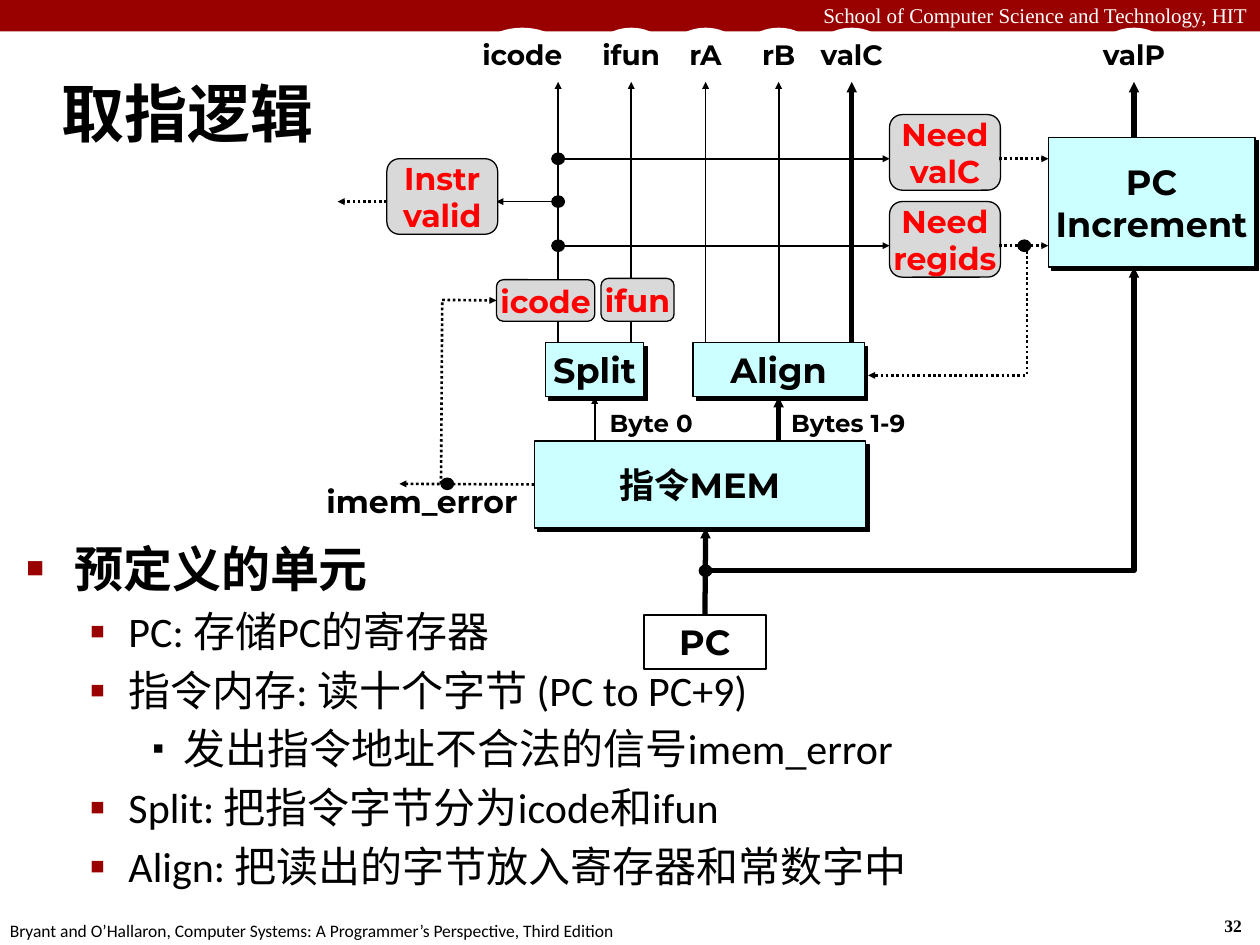
"""Build the fetch logic slide: a hardware diagram with a list of its units."""
from lxml import etree
from pptx import Presentation
from pptx.dml.color import RGBColor
from pptx.enum.dml import MSO_LINE
from pptx.enum.shapes import MSO_CONNECTOR, MSO_SHAPE
from pptx.enum.text import MSO_ANCHOR, MSO_AUTO_SIZE, PP_ALIGN
from pptx.oxml.ns import qn
from pptx.util import Inches, Pt

RECT, ROUND, OVAL = MSO_SHAPE.RECTANGLE, MSO_SHAPE.ROUNDED_RECTANGLE, MSO_SHAPE.OVAL
LEFT, CENTER, RIGHT = PP_ALIGN.LEFT, PP_ALIGN.CENTER, PP_ALIGN.RIGHT
MIDDLE, FIXED = MSO_ANCHOR.MIDDLE, MSO_AUTO_SIZE.NONE
STRAIGHT, DOTS = MSO_CONNECTOR.STRAIGHT, MSO_LINE.ROUND_DOT
TOP, WEST, BASE = 0, 1, 2

BLACK = RGBColor(0, 0, 0)
WHITE = RGBColor(255, 255, 255)
MAROON = RGBColor(0x99, 0, 0)
CYAN = RGBColor(0xCC, 0xFF, 0xFF)
GRAY = RGBColor(0xD9, 0xD9, 0xD9)
RED = RGBColor(255, 0, 0)
SANS, SERIF, BOLD = "Calibri", "Times New Roman", "Montserrat"

TITLE = "取指逻辑"
ITEMS = [
    (0, "预定义的单元"),
    (1, "PC: 存储PC的寄存器"),
    (1, "指令内存: 读十个字节 (PC to PC+9)"),
    (2, "发出指令地址不合法的信号imem_error"),
    (1, "Split: 把指令字节分为icode和ifun"),
    (1, "Align: 把读出的字节放入寄存器和常数字中"),
]
LEVELS = [
    (0.38, -0.38, "■", 60, MAROON, 28),
    (0.81, -0.31, "▪", 110, MAROON, 24),
    (1.25, -0.25, "▪", 80, BLACK, 24),
]
NOTES = [
    ("School of Computer Science and Technology, HIT", (0, -0.03, 10, 0.3), 12, SERIF, WHITE, False, RIGHT),
    ("32", (9.62, 7.21, 0.37, 0.27), 10, SERIF, BLACK, True, LEFT),
    ("Bryant and O’Hallaron, Computer Systems: A Programmer’s Perspective, Third Edition",
     (-0.02, 7.25, 5.08, 0.27), 10, SANS, BLACK, False, LEFT),
    ("Bytes 1-9", (6.18, 3.19, 1.2, 0.34), 14, BOLD, BLACK, True, LEFT),
    ("Byte 0", (4.74, 3.19, 0.89, 0.34), 14, BOLD, BLACK, True, LEFT),
]
UNITS = [
    ("指令MEM", (4.24, 3.5, 2.63, 0.69)),
    ("PC\nIncrement", (8.32, 1.09, 1.64, 1.03)),
    ("Align", (5.5, 2.72, 1.36, 0.43)),
    ("Split", (4.33, 2.72, 0.78, 0.43)),
]
GATES = [
    ("Need\nregids", (7.06, 1.6, 0.88, 0.6)),
    ("Need\nvalC", (7.06, 0.91, 0.88, 0.6)),
    ("Instr\nvalid", (3.07, 1.26, 0.88, 0.6)),
    ("icode", (3.94, 2.22, 0.78, 0.33)),
    ("ifun", (4.77, 2.21, 0.58, 0.34)),
]
OUTS = [
    ("icode", 3.8, 0.69, 4.43, 2.72, 1, None),
    ("ifun", 4.72, 0.58, 5.01, 2.72, 1, None),
    ("rA", 5.31, 0.58, 5.6, 2.72, 1, None),
    ("rB", 5.89, 0.58, 6.18, 2.72, 1, ("Align", TOP)),
    ("valC", 6.47, 0.58, 6.76, 2.72, 3, None),
    ("valP", 8.71, 0.58, 9, 1.09, 3, None),
]
WIRES = [
    ((5.6, 4.88), (5.6, 4.19), 3, ("PC", TOP), None),
    ((6.18, 3.5), (6.18, 3.15), 3, None, ("Align", BASE)),
    ((4.72, 3.5), (4.72, 3.15), 1, None, ("Split", BASE)),
    ((4.43, 1.95), (7.06, 1.95), 1, None, None),
    ((4.43, 1.26), (7.06, 1.26), 1, None, None),
    ((4.43, 1.6), (3.94, 1.6), 1, None, None),
]
SIGNALS = [
    ((7.93, 1.26), (8.32, 1.26), None, None, True),
    ((7.93, 1.95), (8.32, 1.95), None, None, True),
    ((3.07, 1.6), (2.68, 1.6), None, None, True),
    ((4.24, 3.84), (3.17, 3.84), ("指令MEM", WEST), None, True),
    ((3.5, 3.84), (3.51, 2.38), None, None, False),
    ((3.51, 2.38), (3.94, 2.38), None, ("icode", WEST), True),
]
BENDS = [
    ([(5.6, 4.53), (9, 4.53), (9, 2.12)], 3, None),
    ([(8.15, 1.95), (8.15, 2.98), (6.89, 2.98)], 1.5, DOTS),
]
NODES = [(4.43, 1.26), (4.43, 1.6), (4.43, 1.95), (5.6, 4.53), (8.13, 1.95), (3.55, 3.84)]

prs = Presentation()
prs.slide_width, prs.slide_height = Inches(10), Inches(7.5)
slide = prs.slides.add_slide(prs.slide_layouts[1])
shapes = slide.shapes
boxes = {}


def place(shape, at):
    shape.left, shape.top, shape.width, shape.height = map(Inches, at)


def style(para, size, face, color, bold, align):
    para.alignment = align
    for run in para.runs:
        font = run.font
        font.size, font.name, font.bold = Pt(size), face, bold
        font.color.rgb = color


def write(shape, text, size, color, face=BOLD, bold=True, align=CENTER, wrap=False):
    frame = shape.text_frame
    frame.text, frame.word_wrap = text, wrap
    for para in frame.paragraphs:
        style(para, size, face, color, bold, align)


def block(kind, at, fill=None, line=None):
    shape = shapes.add_shape(kind, *map(Inches, at))
    shape.shadow.inherit = False
    if fill is None:
        shape.fill.background()
    else:
        shape.fill.solid()
        shape.fill.fore_color.rgb = fill
    if line:
        shape.line.color.rgb, shape.line.width = BLACK, Pt(line)
    else:
        shape.line.fill.background()
    return shape


def cast(shape):
    effects = shape._element.spPr.find(qn("a:effectLst"))
    shade = etree.SubElement(effects, qn("a:outerShdw"), blurRad="0", dist="35560", dir="2700000", algn="ctr")
    etree.SubElement(shade, qn("a:srgbClr"), val=str(BLACK))


def ink(shape, width, dash=None, arrow=True):
    line = shape.line
    line.color.rgb, line.width = BLACK, Pt(width)
    if dash:
        line.dash_style = dash
    if arrow:
        etree.SubElement(line._get_or_add_ln(), qn("a:tailEnd"), type="triangle", w="sm", len="sm")


def wire(start, stop, width, first=None, last=None, dash=None, arrow=True):
    link = shapes.add_connector(STRAIGHT, *map(Inches, start + stop))
    if first:
        link.begin_connect(boxes[first[0]], first[1])
    if last:
        link.end_connect(boxes[last[0]], last[1])
    ink(link, width, dash, arrow)
    etree.SubElement(link._element.spPr, qn("a:effectLst"))


def bend(points, width, dash):
    path = [(Inches(x), Inches(y)) for x, y in points]
    build = shapes.build_freeform(*path[0])
    build.add_line_segments(path[1:], close=False)
    shape = build.convert_to_shape()
    shape.shadow.inherit = False
    shape.fill.background()
    ink(shape, width, dash)


def bullet(para, level):
    left, hang, mark, scale, color, size = LEVELS[level]
    para.level = level
    props = para._p.get_or_add_pPr()
    props.set("marL", str(Inches(left)))
    props.set("indent", str(Inches(hang)))
    para.space_before = Pt(size * 0.2 if level else 0)
    tint = etree.SubElement(props, qn("a:buClr"))
    etree.SubElement(tint, qn("a:srgbClr"), val=str(color))
    etree.SubElement(props, qn("a:buSzPct"), val=str(scale * 1000))
    etree.SubElement(props, qn("a:buChar"), char=mark)
    style(para, size, SANS, BLACK, level == 0, LEFT)


title, body = slide.placeholders
place(title, (0.39, 0.48, 9.61, 0.83))
write(title, TITLE, 36, BLACK, SANS, align=LEFT, wrap=True)
title.text_frame.vertical_anchor, title.text_frame.auto_size = MIDDLE, FIXED

place(body, (0.11, 4.22, 9.08, 2.92))
body.text_frame.text = "\n".join(text for _, text in ITEMS)
body.text_frame.auto_size = FIXED
for para, (level, _) in zip(body.text_frame.paragraphs, ITEMS):
    bullet(para, level)

block(RECT, (0, 0, 10, 0.25), MAROON)
for text, at, size, face, color, bold, align in NOTES:
    write(shapes.add_textbox(*map(Inches, at)), text, size, color, face, bold, align, align == RIGHT)

for text, at in UNITS:
    boxes[text] = block(RECT, at, CYAN, 0.75)
    cast(boxes[text])
    write(boxes[text], text, 20, BLACK)
boxes["PC"] = block(RECT, (5.11, 4.88, 0.97, 0.43), WHITE, 1)
write(boxes["PC"], "PC", 20, BLACK)

for text, left, width, x, y, weight, first in OUTS:
    write(block(OVAL, (left, 0.22, width, 0.43), WHITE), text, 16, BLACK)
    wire((x, y), (x, 0.65), weight, first)
for start, stop, weight, first, last in WIRES:
    wire(start, stop, weight, first, last)
for text, at in GATES:
    boxes[text] = block(ROUND, at, GRAY, 0.75)
    write(boxes[text], text, 18, RED)
for start, stop, first, last, arrow in SIGNALS:
    wire(start, stop, 1.5, first, last, DOTS, arrow)
for points, weight, dash in BENDS:
    bend(points, weight, dash)
for x, y in NODES:
    block(OVAL, (x - 0.05, y - 0.045, 0.1, 0.09), BLACK, 0.75)
write(block(OVAL, (2.56, 3.68, 1.58, 0.59)), "imem_error", 18, BLACK)

prs.save("out.pptx")
